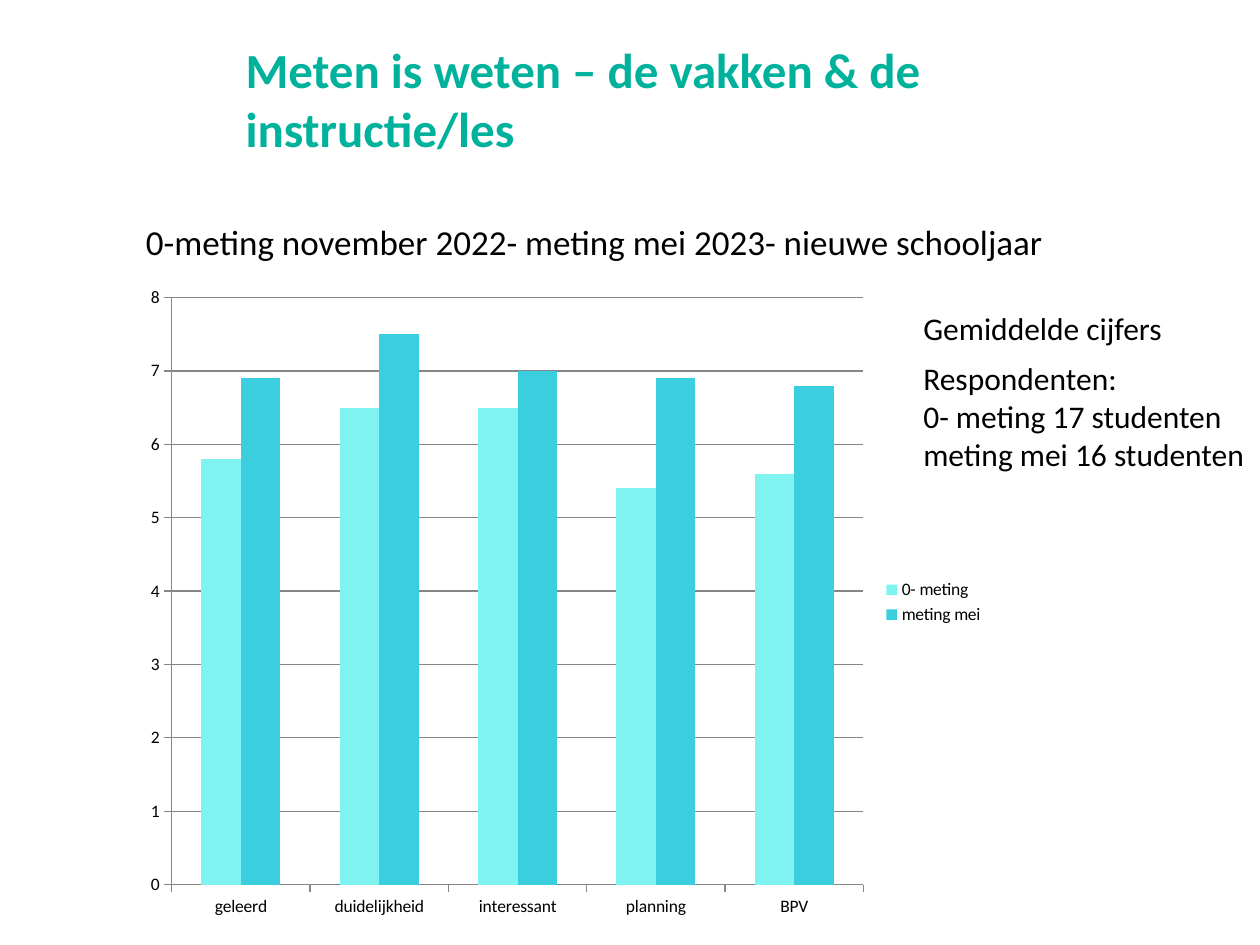
from pptx import Presentation
from pptx.chart.data import CategoryChartData
from pptx.dml.color import RGBColor
from pptx.enum.chart import XL_CHART_TYPE, XL_LEGEND_POSITION, XL_TICK_MARK
from pptx.enum.text import MSO_ANCHOR
from pptx.util import Inches, Pt

FONT = "Calibri"
TEAL = RGBColor(0x00, 0xB2, 0x9C)
BLACK = RGBColor(0x00, 0x00, 0x00)
GREY = RGBColor(0x86, 0x86, 0x86)
AQUA = RGBColor(0x7F, 0xF3, 0xF0)
CYAN = RGBColor(0x3A, 0xCE, 0xDE)

# Content
TITLE = "Meten is weten – de vakken & de instructie/les"
SUBTITLE = "0-meting november 2022- meting mei 2023- nieuwe schooljaar"
AVERAGES = "Gemiddelde cijfers"
RESPONDENTS = "Respondenten:\n0- meting 17 studenten\nmeting mei 16 studenten"
SUBJECTS = ["geleerd", "duidelijkheid", "interessant", "planning", "BPV"]
MEASUREMENTS = [
    ("0- meting", [5.8, 6.5, 6.5, 5.4, 5.6], AQUA),
    ("meting mei", [6.9, 7.5, 7, 6.9, 6.8], CYAN),
]


def style_font(font, size, color=BLACK, bold=False):
    font.name = FONT
    font.size = Pt(size)
    font.bold = bold
    font.color.rgb = color


def add_text(slide, text, box, size, color=BLACK, bold=False, wrap=True,
             anchor=MSO_ANCHOR.TOP):
    frame = slide.shapes.add_textbox(*map(Inches, box)).text_frame
    frame.word_wrap = wrap
    frame.vertical_anchor = anchor
    frame.text = text
    for paragraph in frame.paragraphs:
        for run in paragraph.runs:
            style_font(run.font, size, color, bold)


def add_grades(slide, box):
    data = CategoryChartData()
    data.categories = SUBJECTS
    for name, grades, _ in MEASUREMENTS:
        data.add_series(name, grades)
    chart = slide.shapes.add_chart(
        XL_CHART_TYPE.COLUMN_CLUSTERED, *map(Inches, box), data).chart
    style_font(chart.font, 10)
    chart.has_title = False

    # Columns
    plot = chart.plots[0]
    plot.vary_by_categories = False
    plot.gap_width = 150
    for series, (_, _, color) in zip(plot.series, MEASUREMENTS):
        series.format.fill.solid()
        series.format.fill.fore_color.rgb = color

    # Axes and gridlines
    grade_axis = chart.value_axis
    grade_axis.minimum_scale = 0
    grade_axis.maximum_scale = 8
    grade_axis.major_unit = 1
    grade_axis.has_major_gridlines = True
    for axis in (grade_axis, chart.category_axis):
        axis.major_tick_mark = XL_TICK_MARK.OUTSIDE
        axis.format.line.color.rgb = GREY
    grade_axis.major_gridlines.format.line.color.rgb = GREY

    # Legend
    chart.has_legend = True
    chart.legend.position = XL_LEGEND_POSITION.RIGHT
    chart.legend.include_in_layout = False


def main():
    prs = Presentation()
    prs.slide_width, prs.slide_height = Inches(10), Inches(7.5)
    slide = prs.slides.add_slide(prs.slide_layouts[6])

    # Headings
    add_text(slide, TITLE, (1.85, 0.36, 7.65, 0.94), 28, TEAL, bold=True,
             anchor=MSO_ANCHOR.BOTTOM)
    add_text(slide, SUBTITLE, (1.06, 1.7, 8.44, 0.45), 20)

    # Chart with the notes beside it
    add_grades(slide, (1.06, 2.18, 6.85, 5.2))
    add_text(slide, AVERAGES, (7.23, 2.4, 2.15, 0.4), 18, wrap=False)
    add_text(slide, RESPONDENTS, (7.23, 2.8, 2.8, 1.01), 18, wrap=False)

    prs.save("out.pptx")


if __name__ == "__main__":
    main()
